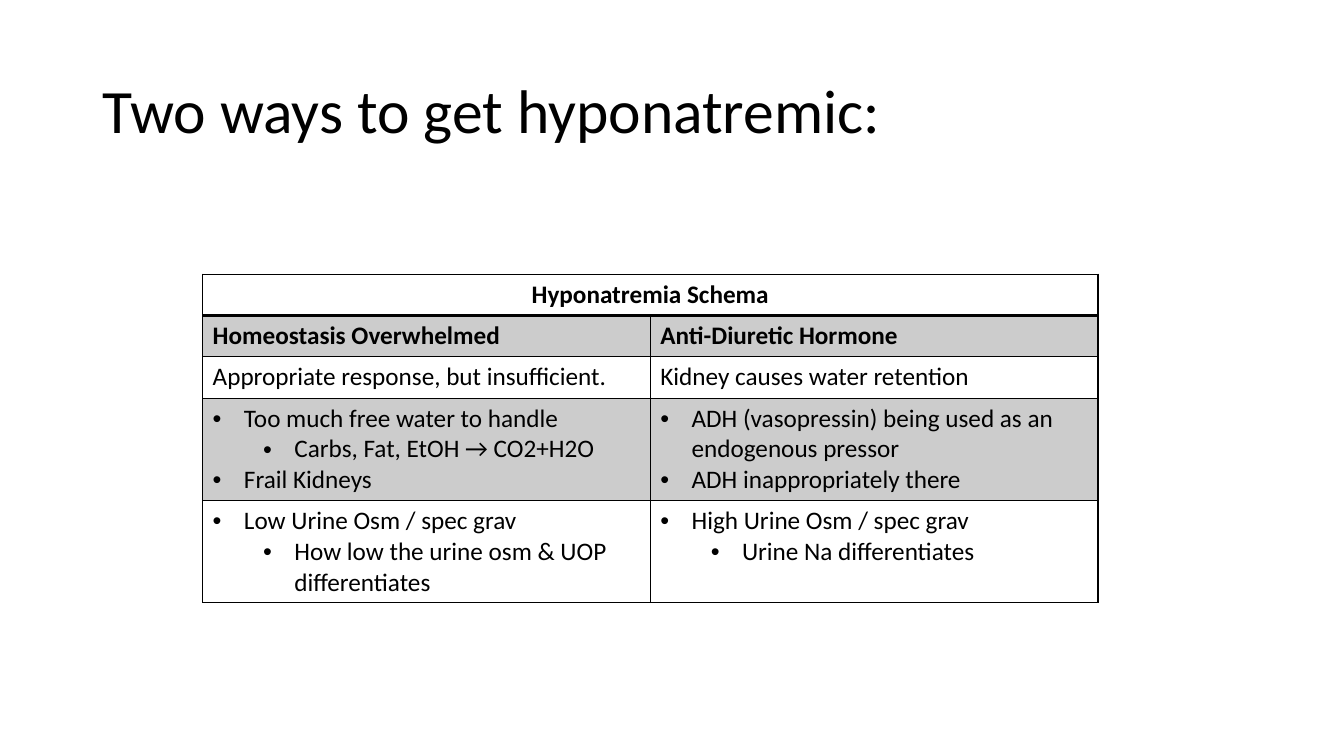
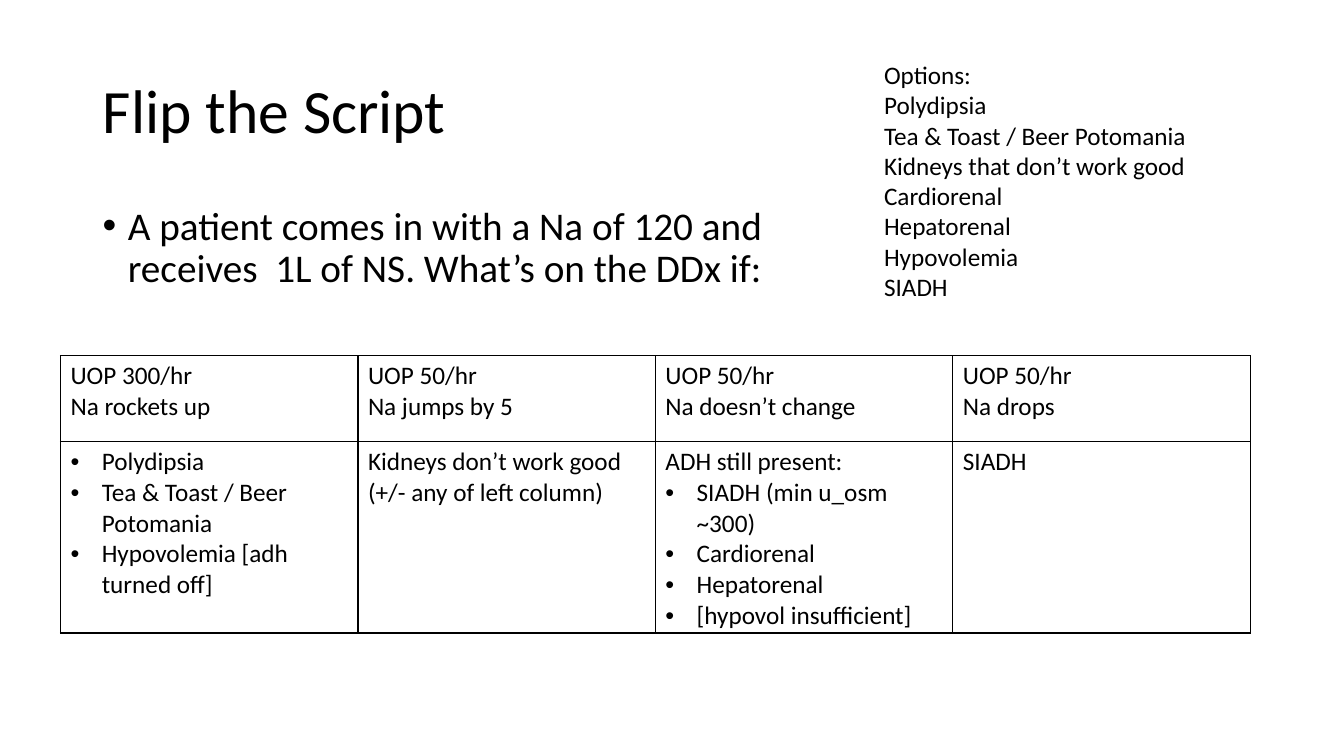
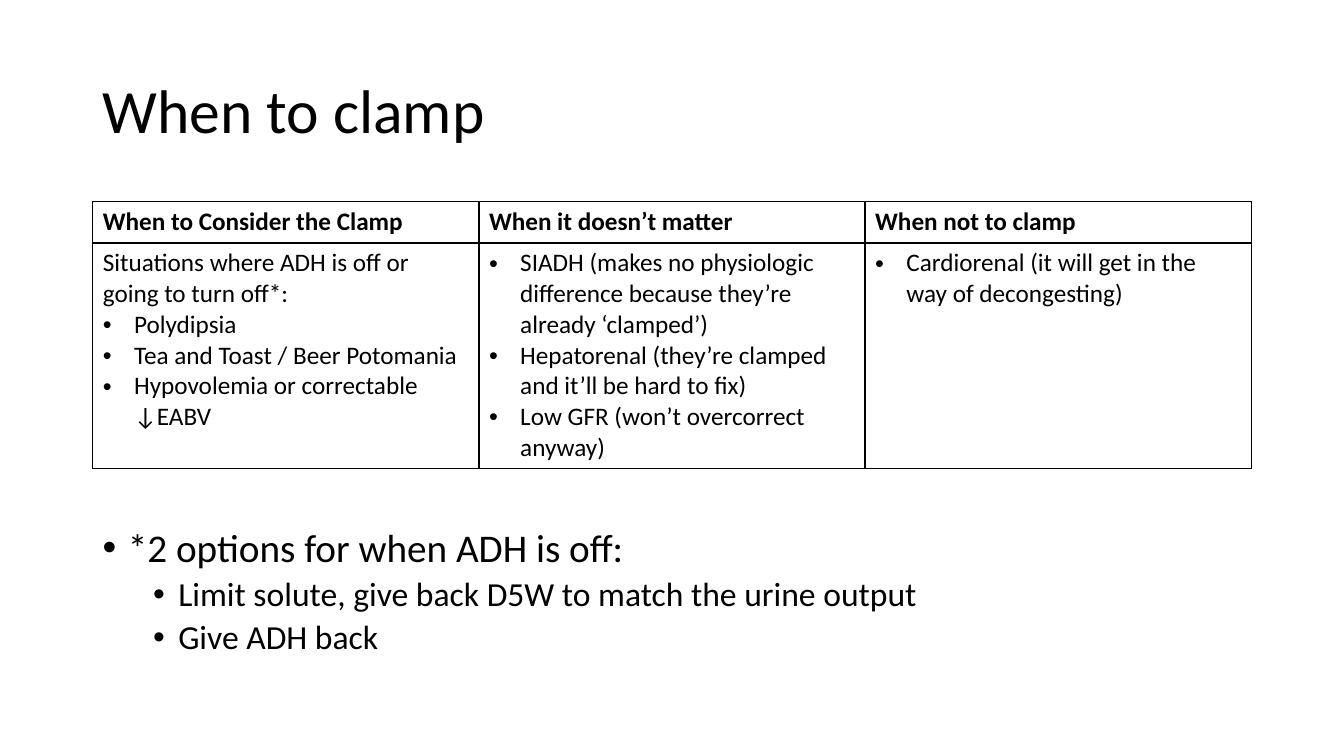
from lxml import etree
from pptx import Presentation, util as u
from pptx.dml.color import RGBColor
from pptx.enum import text
from pptx.oxml import ns

PX = 9144
FONT = "Calibri"
BLACK = RGBColor(0x00, 0x00, 0x00)
GRAY = RGBColor(0xCC, 0xCC, 0xCC)
TITLE_BOX = (92, 40, 1150, 145)
SIDES = ("lnL", "lnR", "lnT", "lnB")


def px(*lengths):
    return [u.Emu(n * PX) for n in lengths]


def dot(words):
    return (0, words)


def sub(words):
    return (1, words)


def add_bullet(p, level, indent):
    pPr = p._p.get_or_add_pPr()
    pPr.set("marL", str((indent + 50 * level) * PX))
    pPr.set("indent", str(-indent * PX))
    etree.SubElement(pPr, ns.qn("a:buFont"), typeface="Arial")
    etree.SubElement(pPr, ns.qn("a:buChar"), char="•")


def format_runs(p, size, bold=False):
    for r in p.runs:
        r.font.name = FONT
        r.font.size = u.Pt(size)
        r.font.bold = bold
        r.font.color.rgb = BLACK


def write(tf, items, sizes=(18, 18), indent=31, bold=False):
    for i, item in enumerate(items):
        p = tf.paragraphs[0] if i == 0 else tf.add_paragraph()
        level, words = item if isinstance(item, tuple) else (None, item)
        p.text = words
        if level is not None:
            p.level = level
            add_bullet(p, level, indent)
        format_runs(p, sizes[level or 0], bold)


def add_title_slide(prs, title):
    s = prs.slides.add_slide(prs.slide_layouts[5])
    sp = s.shapes.title
    sp.left, sp.top, sp.width, sp.height = px(*TITLE_BOX)
    tf = sp.text_frame
    tf.text = title
    tf.auto_size = text.MSO_AUTO_SIZE.NONE
    tf.vertical_anchor = text.MSO_ANCHOR.MIDDLE
    p = tf.paragraphs[0]
    p.alignment = text.PP_ALIGN.LEFT
    p.line_spacing = 0.9
    format_runs(p, 44)
    return s


def add_text(s, box, items):
    tf = s.shapes.add_textbox(*px(*box)).text_frame
    tf.word_wrap = True
    write(tf, items)


def add_body(s, box, items):
    tf = s.shapes.add_textbox(*px(*box)).text_frame
    tf.word_wrap = True
    write(tf, items, sizes=(28, 24), indent=25)
    for i, p in enumerate(tf.paragraphs):
        p.line_spacing = 0.9
        if i:
            p.space_before = u.Pt(5 if p.level else 10)


def set_borders(cell, widths):
    tcPr = cell._tc.get_or_add_tcPr()
    for side in SIDES:
        ln = etree.SubElement(tcPr, ns.qn("a:" + side), w=str(u.Pt(widths.get(side, 1))))
        fill = etree.SubElement(ln, ns.qn("a:solidFill"))
        etree.SubElement(fill, ns.qn("a:srgbClr"), val=str(BLACK))


def add_table(s, left, top, col_width, heights, rows, bold_rows=(), gray_rows=(), thick_below=None):
    cols = max(len(row) for row in rows)
    frame = s.shapes.add_table(len(rows), cols, *px(left, top, col_width * cols, sum(heights)))
    table = frame.table
    table.first_row = table.horz_banding = False
    for column in table.columns:
        column.width = u.Emu(col_width * PX)
    for i, row in enumerate(rows):
        table.rows[i].height = u.Emu(heights[i] * PX)
        widths = {}
        if thick_below is not None:
            widths = {thick_below: {"lnB": 2}, thick_below + 1: {"lnT": 2}}.get(i, {})
        for j in range(cols):
            cell = table.cell(i, j)
            set_borders(cell, widths)
            if i in gray_rows:
                cell.fill.solid()
                cell.fill.fore_color.rgb = GRAY
            else:
                cell.fill.background()
            if j < len(row):
                write(cell.text_frame, row[j], bold=i in bold_rows)
        if len(row) == 1:
            table.cell(i, 0).merge(table.cell(i, cols - 1))
            table.cell(i, 0).text_frame.paragraphs[0].alignment = text.PP_ALIGN.CENTER


def build_schema(prs):
    s = add_title_slide(prs, "Two ways to get hyponatremic:")
    rows = [
        [["Hyponatremia Schema"]],
        [["Homeostasis Overwhelmed"], ["Anti-Diuretic Hormone"]],
        [["Appropriate response, but insufficient."], ["Kidney causes water retention"]],
        [[dot("Too much free water to handle"), sub("Carbs, Fat, EtOH → CO2+H2O"),
          dot("Frail Kidneys")],
         [dot("ADH (vasopressin) being used as an endogenous pressor"),
          dot("ADH inappropriately there")]],
        [[dot("Low Urine Osm / spec grav"), sub("How low the urine osm & UOP differentiates")],
         [dot("High Urine Osm / spec grav"), sub("Urine Na differentiates")]],
    ]
    add_table(s, 201, 272, 444, [41, 41, 41, 101, 101], rows,
              bold_rows=(0, 1), gray_rows=(1, 3), thick_below=0)


def build_script(prs):
    s = add_title_slide(prs, "Flip the Script")
    add_body(s, (92, 200, 718, 476), [
        dot("A patient comes in with a Na of 120 and receives  1L of NS. What’s on the DDx if:")])
    rows = [
        [["UOP 300/hr", "Na rockets up"], ["UOP 50/hr", "Na jumps by 5"],
         ["UOP 50/hr", "Na doesn’t change"], ["UOP 50/hr", "Na drops"]],
        [[dot("Polydipsia"), dot("Tea & Toast / Beer Potomania"),
          dot("Hypovolemia [adh turned off]")],
         ["Kidneys don’t work good (+/- any of left column)"],
         ["ADH still present:", dot("SIADH (min u_osm ~300)"), dot("Cardiorenal"),
          dot("Hepatorenal"), dot("[hypovol insufficient]")],
         ["SIADH"]],
    ]
    add_table(s, 60, 353, 295, [85, 190], rows)
    add_text(s, (867, 54, 374, 252), [
        "Options:", "Polydipsia", "Tea & Toast / Beer Potomania Kidneys that don’t work good",
        "Cardiorenal", "Hepatorenal", "Hypovolemia", "SIADH"])


def build_clamp(prs):
    s = add_title_slide(prs, "When to clamp")
    rows = [
        [["When to Consider the Clamp"], ["When it doesn’t matter"], ["When not to clamp"]],
        [["Situations where ADH is off or going to turn off*:", dot("Polydipsia"),
          dot("Tea and Toast / Beer Potomania"), dot("Hypovolemia or correctable ↓EABV")],
         [dot("SIADH (makes no physiologic difference because they’re already ‘clamped’)"),
          dot("Hepatorenal (they’re clamped and it’ll be hard to fix)"),
          dot("Low GFR (won’t overcorrect anyway)")],
         [dot("Cardiorenal (it will get in the way of decongesting)")]],
    ]
    add_table(s, 92, 200, 383, [41, 220], rows, bold_rows=(0,))
    add_body(s, (92, 519, 1191, 275), [
        dot("*2 options for when ADH is off:"),
        sub("Limit solute, give back D5W to match the urine output"),
        sub("Give ADH back")])


def main():
    prs = Presentation()
    prs.slide_width, prs.slide_height = px(1333, 750)
    build_schema(prs)
    build_script(prs)
    build_clamp(prs)
    prs.save("out.pptx")


if __name__ == "__main__":
    main()
